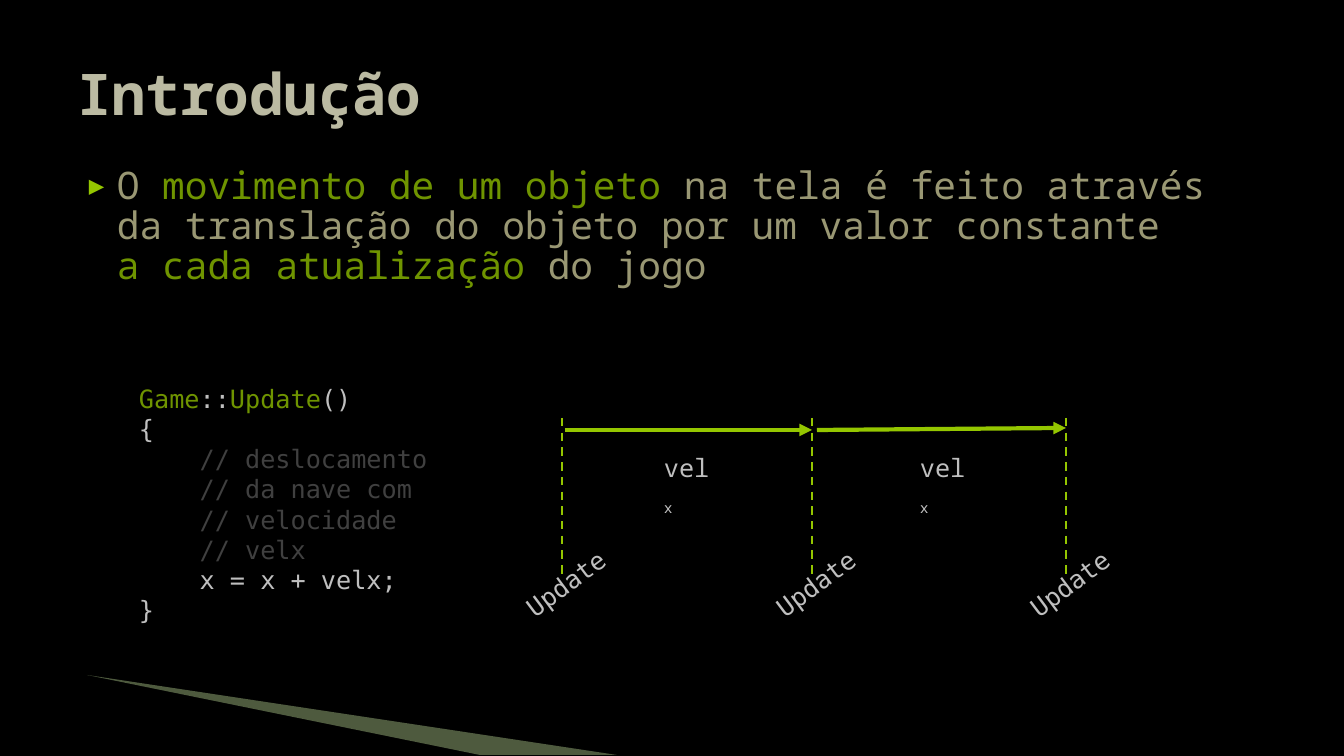
from lxml import etree
from pptx import Presentation
from pptx.dml.color import RGBColor
from pptx.enum.dml import MSO_LINE
from pptx.enum.shapes import MSO_CONNECTOR
from pptx.enum.text import MSO_ANCHOR, PP_ALIGN
from pptx.oxml.ns import qn
from pptx.util import Emu, Pt

PX = 914400 / 100.8
STRAIGHT = MSO_CONNECTOR.STRAIGHT
DASH = MSO_LINE.DASH
MIDDLE = MSO_ANCHOR.MIDDLE
LEFT = PP_ALIGN.LEFT

BLACK = RGBColor(0x00, 0x00, 0x00)
LIME = RGBColor(0x94, 0xC6, 0x00)
GREEN = RGBColor(0x6F, 0x94, 0x00)
KHAKI = RGBColor(0x99, 0x97, 0x73)
SAND = RGBColor(0xBB, 0xBA, 0xA2)
SILVER = RGBColor(0xBF, 0xBF, 0xBF)
GRAY = RGBColor(0x40, 0x40, 0x40)
PALE_GREEN = RGBColor(0xC3, 0xE1, 0x9D)

NOTO = "Noto Sans Mono"
DEJAVU = "DejaVu Sans Mono"
TITLE = dict(name=NOTO, size=Pt(41), bold=True)
BODY = dict(name=NOTO, size=Pt(27))
LABEL = dict(name=NOTO, size=Pt(18))
CODE = dict(name=DEJAVU, size=Pt(18))

STATEMENT = [
    [("O ", KHAKI), ("movimento de um objeto ", GREEN),
     ("na tela é feito através", KHAKI)],
    [("da translação do objeto por um valor constante", KHAKI)],
    [("a cada atualização ", GREEN), ("do jogo", KHAKI)],
]
LISTING = [
    [("Game", GREEN), ("::", SILVER), ("Update", GREEN), ("()", SILVER)],
    [("{", SILVER)],
    [("    // deslocamento", GRAY)],
    [("    // da nave com", GRAY)],
    [("    // velocidade", GRAY)],
    [("    // velx", GRAY)],
    [("    x = x + velx;", SILVER)],
    [("}", SILVER)],
]
UPDATES = [562, 812, 1066]
ARROWS = [(565, 430, 812, 430), (817, 430, 1066, 428)]
SPEEDS = [654, 910]


def px(*values):
    return [Emu(round(v * PX)) for v in values]


def add_run(p, text, color, fmt):
    r = p.add_run()
    r.text = text
    for key, value in fmt.items():
        setattr(r.font, key, value)
    r.font.color.rgb = color
    return r


def add_box(s, box, wrap=True):
    sp = s.shapes.add_textbox(*px(*box))
    sp.text_frame.word_wrap = wrap
    return sp


def add_title(s, text):
    sp = s.shapes.title
    sp.left, sp.top, sp.width, sp.height = px(67, 30, 1210, 126)
    sp.text_frame.vertical_anchor = MIDDLE
    p = sp.text_frame.paragraphs[0]
    p.alignment = LEFT
    add_run(p, text, SAND, TITLE)


def add_bullet(p, margin, indent):
    pPr = p._p.get_or_add_pPr()
    pPr.set("marL", str(px(margin)[0]))
    pPr.set("indent", str(px(indent)[0]))
    color = etree.SubElement(pPr, qn("a:buClr"))
    etree.SubElement(color, qn("a:srgbClr"), val=str(LIME))
    etree.SubElement(pPr, qn("a:buSzPct"), val="68000")
    etree.SubElement(pPr, qn("a:buFont"), typeface=DEJAVU)
    etree.SubElement(pPr, qn("a:buChar"), char="▶")


def add_statement(s):
    p = add_box(s, (67, 163, 1210, 160)).text_frame.paragraphs[0]
    add_bullet(p, 40, -28)
    p.line_spacing = 0.88
    for i, line in enumerate(STATEMENT):
        if i:
            p.add_line_break()
        for text, color in line:
            add_run(p, text, color, BODY)


def add_code(s):
    tf = add_box(s, (129, 378, 320, 254)).text_frame
    for i, line in enumerate(LISTING):
        p = tf.add_paragraph() if i else tf.paragraphs[0]
        for text, color in line:
            add_run(p, text, color, CODE)


def add_line(s, ends, width, dash=None, arrow=False):
    line = s.shapes.add_connector(STRAIGHT, *px(*ends))
    line.line.color.rgb = LIME
    line.line.width = Pt(width)
    if dash:
        line.line.dash_style = dash
    if arrow:
        etree.SubElement(line.line._get_or_add_ln(), qn("a:tailEnd"), type="triangle")
    etree.SubElement(line._element.spPr, qn("a:effectLst"))


def add_speed(s, left):
    """Label with a subscript that falls below the word in its narrow box."""
    p = add_box(s, (left, 447, 66, 40)).text_frame.paragraphs[0]
    add_run(p, "vel", SILVER, LABEL)
    sub = add_run(p, "x", SILVER, LABEL)
    sub.font._element.set("baseline", "-25000")


def add_update(s, x):
    add_line(s, (x, 418, x, 576), 1.5, dash=DASH)
    sp = add_box(s, (x - 52, 563, 112, 40), wrap=False)
    sp.rotation = -36.8
    add_run(sp.text_frame.paragraphs[0], "Update", SILVER, CODE)


def add_swoosh(s):
    builder = s.shapes.build_freeform(87, 675, scale=PX)
    builder.add_line_segments([(617, 755), (480, 755)], close=True)
    sp = builder.convert_to_shape()
    sp.shadow.inherit = False
    sp.fill.solid()
    sp.fill.fore_color.rgb = PALE_GREEN
    sp.line.fill.background()
    color = sp._element.spPr.find(qn("a:solidFill"))[0]
    etree.SubElement(color, qn("a:alpha"), val="40000")


def main():
    prs = Presentation()
    prs.slide_width, prs.slide_height = px(1344, 756)
    s = prs.slides.add_slide(prs.slide_layouts[5])
    s.background.fill.solid()
    s.background.fill.fore_color.rgb = BLACK
    add_swoosh(s)
    add_title(s, "Introdução")
    add_statement(s)
    add_code(s)
    for x in UPDATES:
        add_update(s, x)
    for ends in ARROWS:
        add_line(s, ends, 3, arrow=True)
    for left in SPEEDS:
        add_speed(s, left)
    prs.save("out.pptx")


if __name__ == "__main__":
    main()
